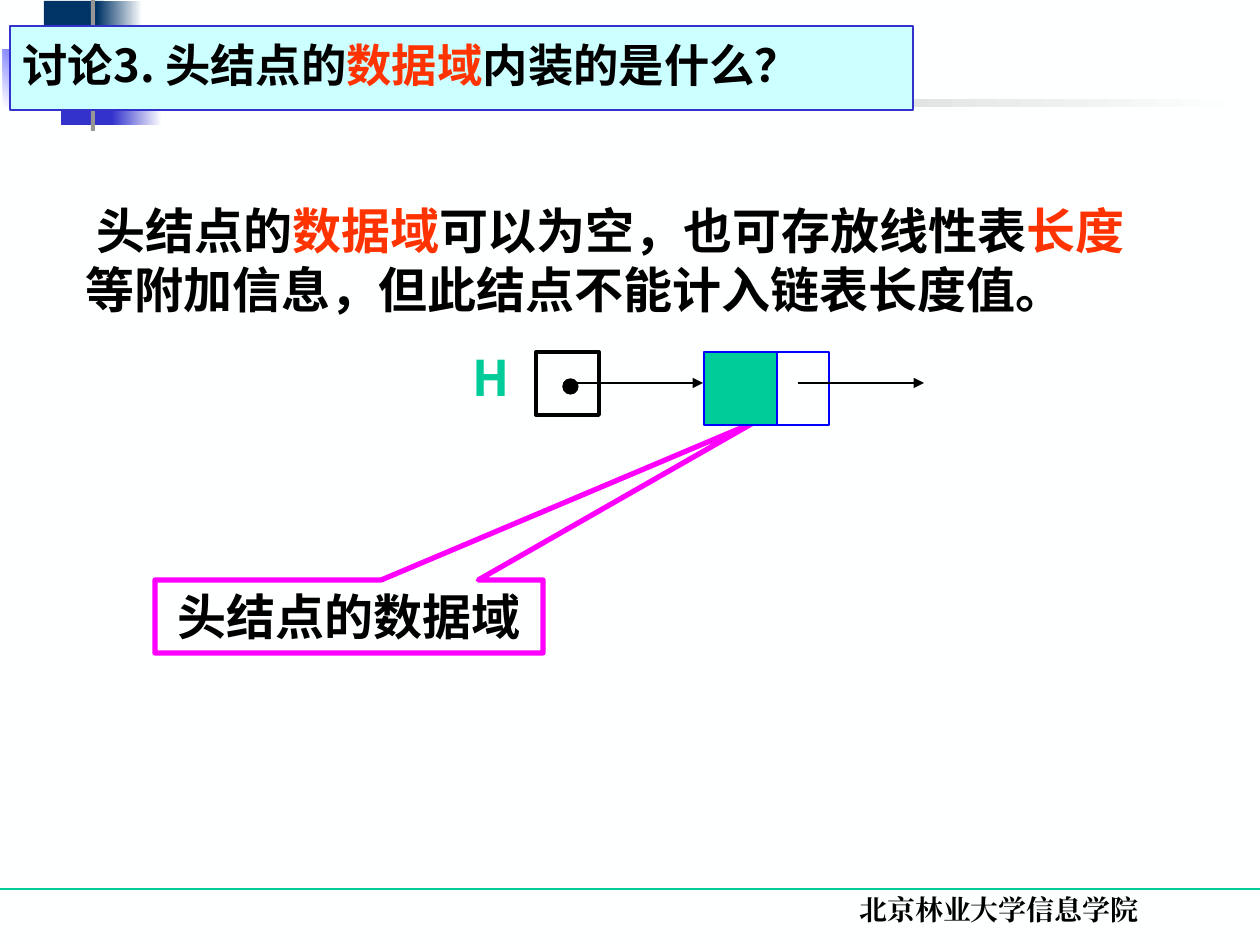
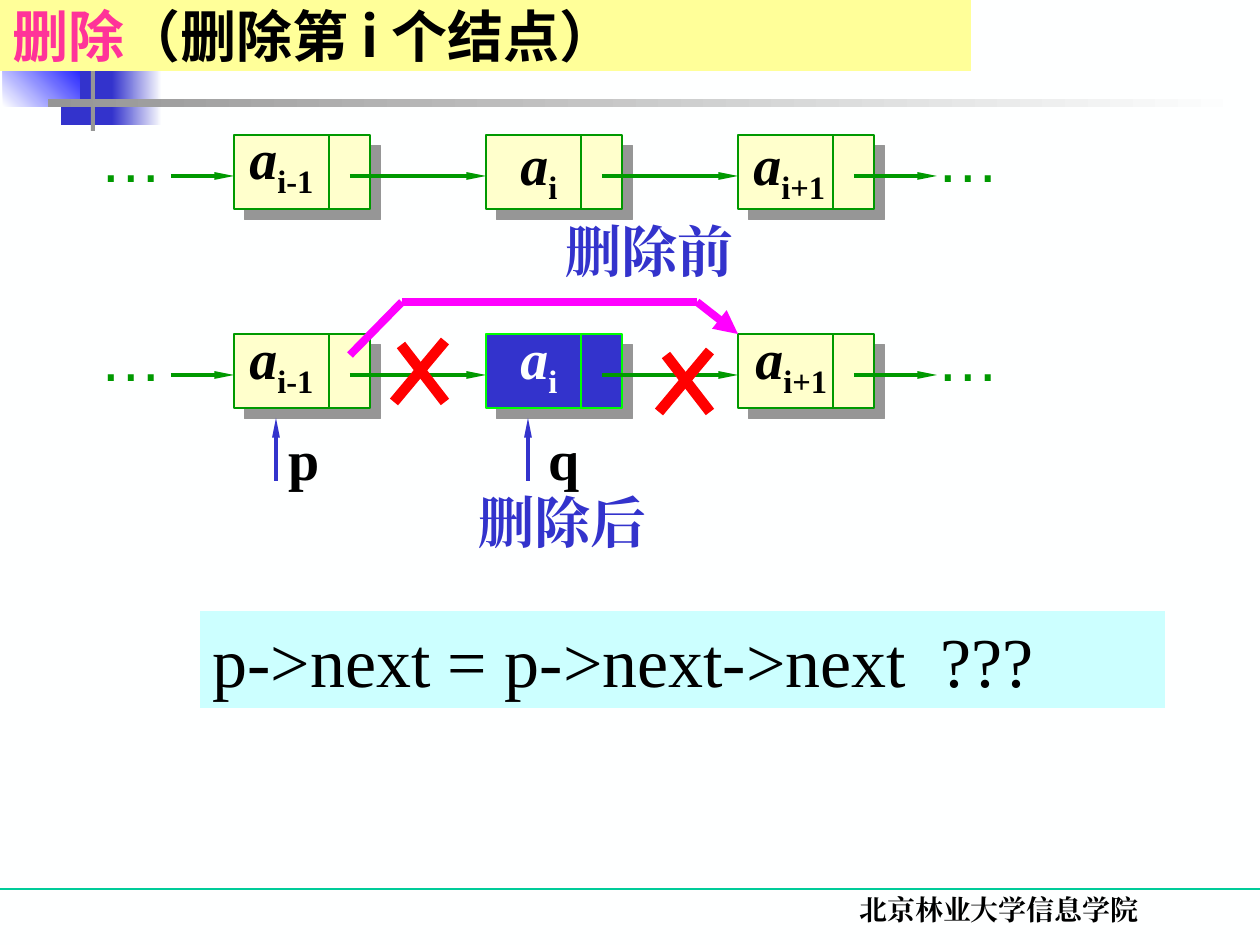
from lxml import etree
from pptx import Presentation
from pptx import util as u
from pptx.dml.color import RGBColor
from pptx.enum import shapes, text
from pptx.oxml.ns import qn

EMU_PER_PX = 914400 / 126
SANS, SERIF = "Noto Sans CJK SC", "Times New Roman"
RECT = shapes.MSO_SHAPE.RECTANGLE
C = {
    "paper": "FEFFFF", "ink": "000000", "navy": "003366", "blue": "3333CC",
    "pure_blue": "0000FF", "gray": "969696", "teal": "00CC99", "cyan": "CCFFFF",
    "orange": "FF3300", "magenta": "FF00FF", "pink": "FF3399", "yellow": "FFFF99",
    "cream": "FFFFCC", "green": "009900", "lime": "00FF00", "red": "FF0000",
}


def style(sp, at, fill=None, line=None, weight=0.75, runs=(), size=28, font=SANS,
          bold=True, align=text.PP_ALIGN.LEFT, anchor=text.MSO_ANCHOR.TOP, wrap=True):
    """Place a shape; give it a fill (colour, or two colours and an angle), line and runs."""
    sp.left, sp.top, sp.width, sp.height = [round(v * EMU_PER_PX) for v in at]
    if isinstance(fill, tuple):
        sp.fill.gradient()
        sp.fill.gradient_angle = fill[2]
        for stop, name in zip(sp.fill.gradient_stops, fill):
            stop.color.rgb = RGBColor.from_string(C[name])
    elif fill:
        sp.fill.solid()
        sp.fill.fore_color.rgb = RGBColor.from_string(C[fill])
    else:
        sp.fill.background()
    if line:
        sp.line.color.rgb = RGBColor.from_string(C[line])
        sp.line.width = u.Pt(weight)
    else:
        sp.line.fill.background()
    sp.shadow.inherit = False
    if runs:
        tf = sp.text_frame
        tf.auto_size = text.MSO_AUTO_SIZE.NONE
        tf.word_wrap = wrap
        tf.vertical_anchor = anchor
        p = tf.paragraphs[0]
        p.alignment = align
        for words, color in runs:
            r = p.add_run()
            r.text = words
            r.font.size, r.font.bold, r.font.name = u.Pt(size), bold, font
            r.font.color.rgb = RGBColor.from_string(C[color])
            etree.SubElement(r.font._element, qn("a:ea"), typeface=font)
    return sp


def draw_line(s, ends, color, weight, head=None):
    """Draw a straight line; head is the (width, length) of an arrowhead at its end."""
    x1, y1, x2, y2 = [round(v * EMU_PER_PX) for v in ends]
    cn = s.shapes.add_connector(shapes.MSO_CONNECTOR.STRAIGHT, x1, y1, x2, y2)
    cn.line.color.rgb = RGBColor.from_string(C[color])
    cn.line.width = u.Pt(weight)
    if head:
        etree.SubElement(cn.line._get_or_add_ln(), qn("a:tailEnd"),
                         type="triangle", w=head[0], len=head[1])
    etree.SubElement(cn.element.spPr, qn("a:effectLst"))
    return cn


MEDIUM, SLIM = ("med", "med"), ("sm", "lg")

prs = Presentation()
prs.slide_width, prs.slide_height = u.Inches(10), u.Inches(7.5)
background = prs.slide_master.background.fill
background.solid()
background.fore_color.rgb = RGBColor.from_string(C["paper"])
layout = prs.slide_layouts[5]
for ph in list(layout.placeholders):
    if ph.placeholder_format.idx >= 10:
        ph.element.getparent().remove(ph.element)
s1, s2 = [prs.slides.add_slide(layout) for _ in range(2)]

# Shared corner ornament and footer rule, moved to the layout
ornament = [
    ((44, 1, 60, 66), "navy"),
    ((97, 1, 45, 66), ("navy", "paper", 0)),
    ((61, 59, 58, 66), "blue"),
    ((112, 59, 50, 66), ("blue", "paper", 0)),
    ((3, 49, 77, 58), ("paper", "pure_blue", 45)),
    ((91, -14, 4, 145), "gray"),
    ((48, 99, 1198, 8), ("gray", "paper", 0)),
]
decor = [draw_line(s1, (0, 889, 1260, 889), "teal", 0.75)]
for at, fill in ornament:
    decor.append(style(s1.shapes.add_shape(RECT, 0, 0, 0, 0), at, fill))
for sp in decor:
    layout.shapes.element.append(sp.element)

# Footer
for s in (s1, s2):
    style(s.shapes.add_textbox(0, 0, 0, 0), (738, 886, 522, 63),
          runs=[("北京林业大学信息学院", "ink")], size=16, font=SERIF,
          align=text.PP_ALIGN.CENTER)

# Slide 1: title and explanation
style(s1.shapes.title, (10, 26, 903, 84), "cyan", "blue", size=25.9,
      anchor=text.MSO_ANCHOR.MIDDLE,
      runs=[("讨论3. 头结点的", "ink"), ("数据域", "orange"), ("内装的是什么？", "ink")])
s1.shapes.title.text_frame.paragraphs[0].line_spacing = 0.9
style(s1.shapes.add_textbox(0, 0, 0, 0), (73, 194, 1103, 131),
      runs=[(" 头结点的", "ink"), ("数据域", "orange"),
            ("可以为空，也可存放线性表", "ink"), ("长度", "orange"),
            ("等附加信息，但此结点不能计入链表长度值。", "ink")])

# Slide 1: callout on the data field
callout = s1.shapes.add_shape(shapes.MSO_SHAPE.RECTANGULAR_CALLOUT, 0, 0, 0, 0)
style(callout, (155, 580, 388, 73), line="magenta", weight=3,
      runs=[("头结点的数据域", "ink")], align=text.PP_ALIGN.CENTER)
callout.adjustments[0], callout.adjustments[1] = 1.043, -2.655

# Slide 1: head pointer and head node
for kind, at, fill, line, weight in [
    (RECT, (536, 352, 63, 63), None, "ink", 2.25),
    (shapes.MSO_SHAPE.OVAL, (563, 379, 15, 15), "ink", "ink", 0.75),
    (RECT, (704, 352, 73, 73), "teal", "pure_blue", 1),
    (RECT, (777, 352, 52, 73), None, "pure_blue", 1),
]:
    style(s1.shapes.add_shape(kind, 0, 0, 0, 0), at, fill, line, weight)
for x in (577, 798):
    draw_line(s1, (x, 383, x + 126, 383), "ink", 0.75, MEDIUM)
style(s1.shapes.add_textbox(0, 0, 0, 0), (460, 341, 54, 72),
      runs=[("H", "teal")], wrap=False)

# Slide 2: title and statement
style(s2.shapes.title, (0, 0, 971, 71), "yellow", size=32,
      anchor=text.MSO_ANCHOR.MIDDLE,
      runs=[("删除", "pink"), ("（删除第 i 个结点）", "ink")])
style(s2.shapes.add_shape(RECT, 0, 0, 0, 0), (200, 611, 965, 97), "cyan",
      runs=[("p->next = p->next->next  ???", "ink")], size=40, font=SERIF, bold=False)

# Slide 2: the list before and after the deletion
NODE_X, PITCH, NODE_W, NODE_H = 234, 252, 136, 74
SUBSCRIPTS = ["i-1", "i", "i+1"]
LABEL_W = [89, 62, 97]
rows = [  # node top, label lefts, label tops, index of the deleted node
    (135, [237, 508, 741], [117, 123, 123], None),
    (334, [237, 508, 743], [317, 317, 317], 1),
]
for top, label_x, label_y, deleted in rows:
    link_y = top + 41
    draw_line(s2, (171, link_y, NODE_X, link_y), "green", 2.25, SLIM)
    for i, sub in enumerate(SUBSCRIPTS):
        x = NODE_X + i * PITCH
        fill, edge, ink = ("blue", "lime", "paper") if i == deleted else ("cream", "green", "ink")
        node = style(s2.shapes.add_shape(RECT, 0, 0, 0, 0), (x, top, NODE_W, NODE_H), fill, edge)
        shadow = etree.SubElement(node.element.spPr.find(qn("a:effectLst")), qn("a:outerShdw"),
                                  dist=str(u.Pt(8.5)), dir="2700000", algn="ctr", rotWithShape="0")
        etree.SubElement(shadow, qn("a:srgbClr"), val=C["gray"])
        draw_line(s2, (x + 95, top, x + 95, top + NODE_H), edge, 1.5)
        link_end = x + (PITCH if i < 2 else 199)
        draw_line(s2, (x + 116, link_y, link_end, link_y), "green", 2.25, SLIM)
        label = style(s2.shapes.add_textbox(0, 0, 0, 0),
                      (label_x[i], label_y[i], LABEL_W[i], 89),
                      runs=[("a", ink), (sub, ink)], size=32, font=SERIF, wrap=False)
        name, index = label.text_frame.paragraphs[0].runs
        name.font.italic = True
        index.font._element.set("baseline", "-25000")
    for x in (87, 924):
        style(s2.shapes.add_textbox(0, 0, 0, 0), (x, top - 22, 88, 88),
              runs=[("…", "green")], size=36, font="Arial", bold=False, wrap=False)

# Slide 2: pointers p and q, captions
for x in (276, 528):
    draw_line(s2, (x, 481, x, 418), "blue", 2.25, SLIM)
for words, color, at in [
    ("p", "ink", (276, 418, 57, 81)),
    ("q", "ink", (536, 418, 57, 81)),
    ("删除前", "blue", (553, 210, 193, 81)),
    ("删除后", "blue", (466, 481, 193, 81)),
]:
    style(s2.shapes.add_textbox(0, 0, 0, 0), at, runs=[(words, color)],
          size=32, font=SERIF, wrap=False)

# Slide 2: bypass link
for ends, head in [
    ((350, 355, 402, 302), None),
    ((697, 302, 738, 334), MEDIUM),
    ((697, 302, 402, 302), None),
]:
    draw_line(s2, ends, "magenta", 4.5, head)

# Slide 2: crosses over the two broken links
for dx, dy in [(0, 0), (265, 10)]:
    for x1, y1, x2, y2 in [(401, 345, 445, 402), (445, 341, 394, 402)]:
        draw_line(s2, (x1 + dx, y1 + dy, x2 + dx, y2 + dy), "red", 6)

prs.save("out.pptx")
